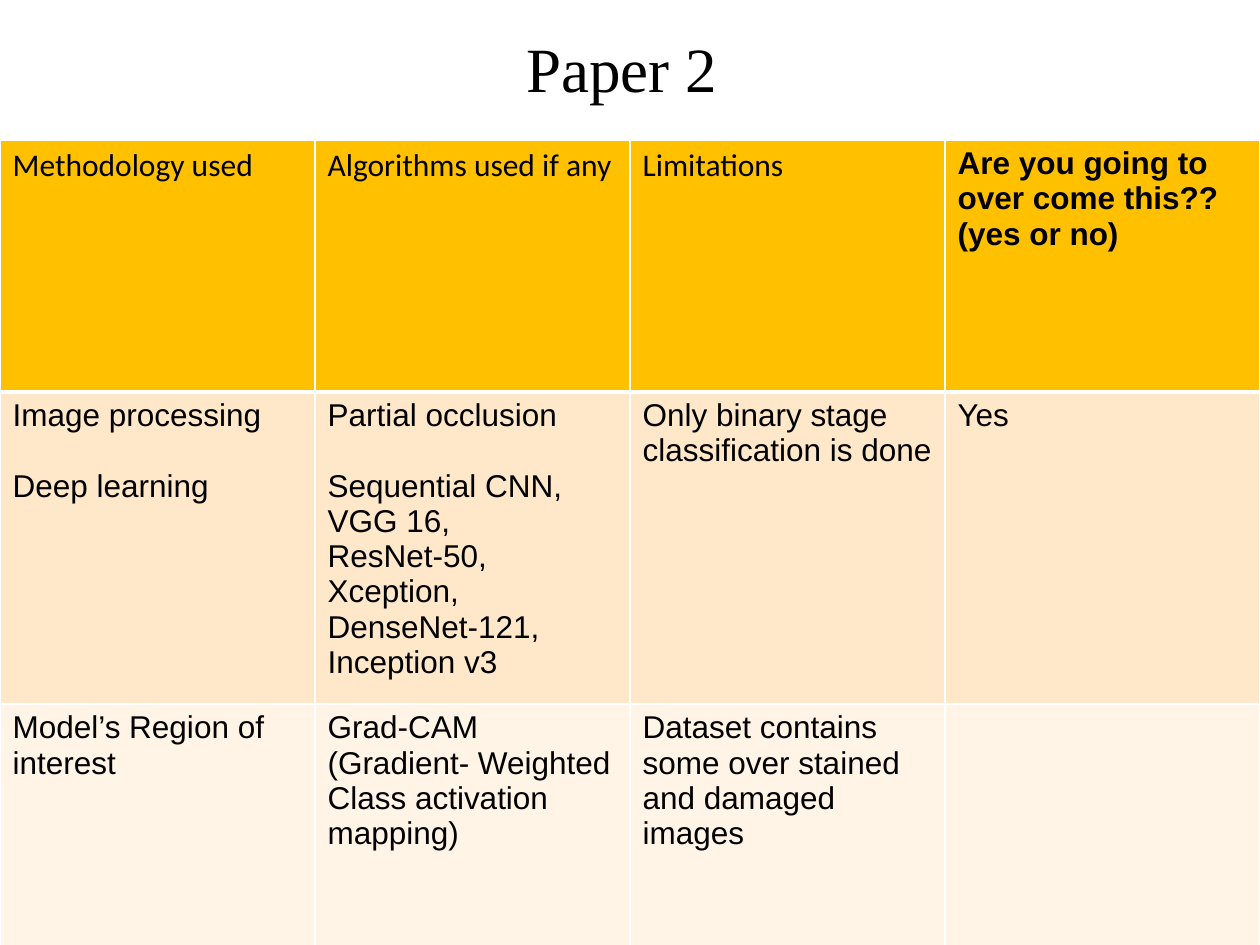
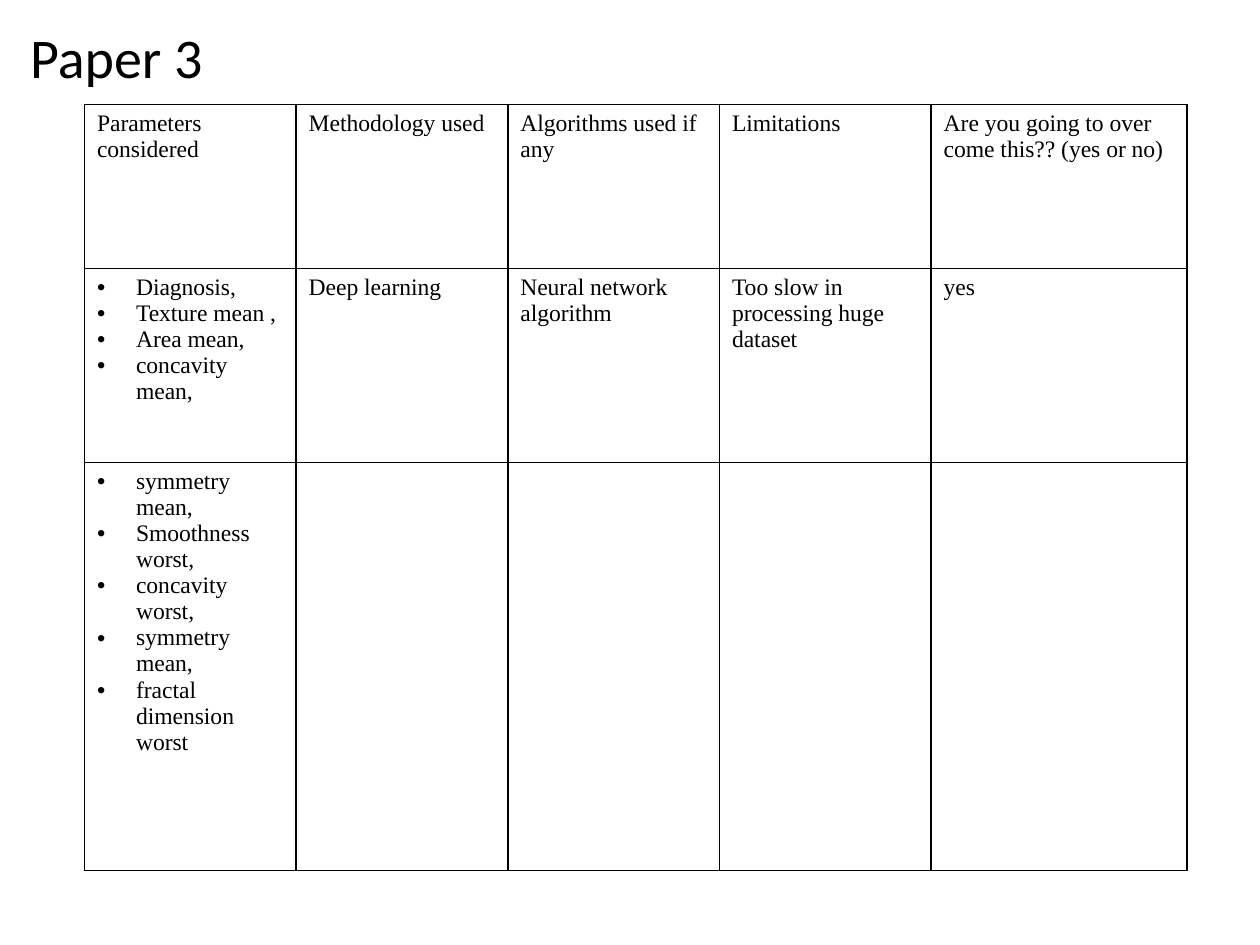
import pptx
import pptx.util
import pptx.dml.color
import pptx.enum.text
import pptx.oxml
import pptx.oxml.ns
from pptx.util import Inches

RGBColor = pptx.dml.color.RGBColor
BLACK = RGBColor(0x00, 0x00, 0x00)
WHITE = RGBColor(0xFF, 0xFF, 0xFF)
AMBER = RGBColor(0xFF, 0xC0, 0x00)
PEACH = RGBColor(0xFF, 0xE8, 0xCA)
CREAM = RGBColor(0xFF, 0xF4, 0xE6)

SERIF, SANS, HEADING = "Times New Roman", "Arial", "Calibri"
HANGING = Inches(0.31)
METHOD, ALGORITHMS, LIMITS = "Methodology used", "Algorithms used if any", "Limitations"
OVERCOME = "Are you going to over come this?? (yes or no)"


def write_text(frame, lines, font=SANS, size=18, bold=False, color=BLACK,
               spacing=None, gap=0, bullets=False):
    """Write one paragraph per line, with an optional gap between lines."""
    for index, line in enumerate(lines):
        para = frame.paragraphs[0] if index == 0 else frame.add_paragraph()
        para.line_spacing = spacing
        para.space_before = pptx.util.Pt(gap if index else 0)
        if bullets:
            add_bullet(para)
        span = para.add_run()
        span.text = line
        span.font.name, span.font.size, span.font.bold = font, pptx.util.Pt(size), bold
        span.font.color.rgb = color


def add_bullet(para):
    """Give a paragraph a round bullet and a hanging indent."""
    properties = para._p.get_or_add_pPr()
    properties.set("marL", str(HANGING))
    properties.set("indent", str(-HANGING))
    namespace = pptx.oxml.ns.nsdecls("a")
    for xml in (f'<a:buFont {namespace} typeface="Arial"/>',
                f'<a:buChar {namespace} char="•"/>'):
        properties.append(pptx.oxml.parse_xml(xml))


def set_borders(cell, color, width, bottom):
    """Draw the four cell borders; the bottom one has its own width."""
    properties = cell._tc.get_or_add_tcPr()
    namespace = pptx.oxml.ns.nsdecls("a")
    for index, side in enumerate(("lnL", "lnR", "lnT", "lnB")):
        points = bottom if side == "lnB" else width
        properties.insert(index, pptx.oxml.parse_xml(
            f'<a:{side} {namespace} w="{pptx.util.Pt(points)}"><a:solidFill>'
            f'<a:srgbClr val="{color}"/></a:solidFill></a:{side}>'))


def add_title(page, text, left, top, width, height, **style):
    box = page.shapes.add_textbox(left, top, width, height)
    box.text_frame.word_wrap = True
    box.text_frame.vertical_anchor = pptx.enum.text.MSO_ANCHOR.MIDDLE
    write_text(box.text_frame, [text], spacing=0.9, **style)


def add_grid(page, left, top, columns, rows):
    """Add a plain table whose size follows from its columns and rows."""
    table = page.shapes.add_table(len(rows), len(columns), left, top,
                                  Inches(sum(columns)), Inches(sum(rows))).table
    table.first_row = table.horz_banding = False
    for column, width in zip(table.columns, columns):
        column.width = Inches(width)
    for row, height in zip(table.rows, rows):
        row.height = Inches(height)
    return table


def fill_cell(cell, lines, fill, border, width=1, bottom=1, **style):
    if fill is None:
        cell.fill.background()
    else:
        cell.fill.solid()
        cell.fill.fore_color.rgb = fill
    set_borders(cell, border, width, bottom)
    write_text(cell.text_frame, lines, **style)


def build_coloured_review(page):
    """Paper 2: amber header over two tinted rows, the full slide wide."""
    add_title(page, "Paper 2", Inches(4.08), Inches(0.23), Inches(1.84), Inches(0.68),
              font=SERIF, size=36)
    contents = [
        [[METHOD], [ALGORITHMS], [LIMITS], [OVERCOME]],
        [["Image processing", "Deep learning"],
         ["Partial occlusion",
          "Sequential CNN, VGG 16, ResNet-50, Xception, DenseNet-121, Inception v3"],
         ["Only binary stage classification is done"], ["Yes"]],
        [["Model’s Region of interest"],
         ["Grad-CAM", "(Gradient- Weighted Class activation mapping)"],
         ["Dataset contains some over stained and damaged images"], []],
    ]
    table = add_grid(page, Inches(0), Inches(1.11), [2.5] * 4, [2, 2.39, 2])
    for r, (row, fill) in enumerate(zip(contents, (AMBER, PEACH, CREAM))):
        for c, lines in enumerate(row):
            header, last = r == 0, c == len(row) - 1
            fill_cell(table.cell(r, c), lines, fill, WHITE, bottom=3 if header else 1,
                      font=HEADING if header and not last else SANS,
                      bold=header and last, gap=20 if r == 1 else 0)


def build_plain_review(page):
    """Paper 3: black grid without fill, bulleted parameters on the left."""
    add_title(page, "Paper 3", Inches(0.14), Inches(0.1), Inches(2.45), Inches(0.76),
              font=HEADING, size=32)
    contents = [
        [["Parameters considered"], [METHOD], [ALGORITHMS], [LIMITS], [OVERCOME]],
        [["Diagnosis,", "Texture mean ,", "Area mean,", "concavity mean,"],
         ["Deep learning"], ["Neural network algorithm"],
         ["Too slow in processing huge dataset"], ["yes"]],
        [["symmetry mean,", "Smoothness worst,", "concavity worst,", "symmetry mean,",
          "fractal dimension worst"], [], [], [], []],
    ]
    table = add_grid(page, Inches(0.67), Inches(0.83), [1.68] * 4 + [2.03],
                     [1.3, 1.54, 3.24])
    for r, row in enumerate(contents):
        for c, lines in enumerate(row):
            fill_cell(table.cell(r, c), lines, None, BLACK, font=SERIF, size=13.5,
                      bullets=r > 0 and c == 0)


deck = pptx.Presentation()
deck.slide_width, deck.slide_height = Inches(10), Inches(7.5)
for build in (build_coloured_review, build_plain_review):
    build(deck.slides.add_slide(deck.slide_layouts[6]))
deck.save("out.pptx")
